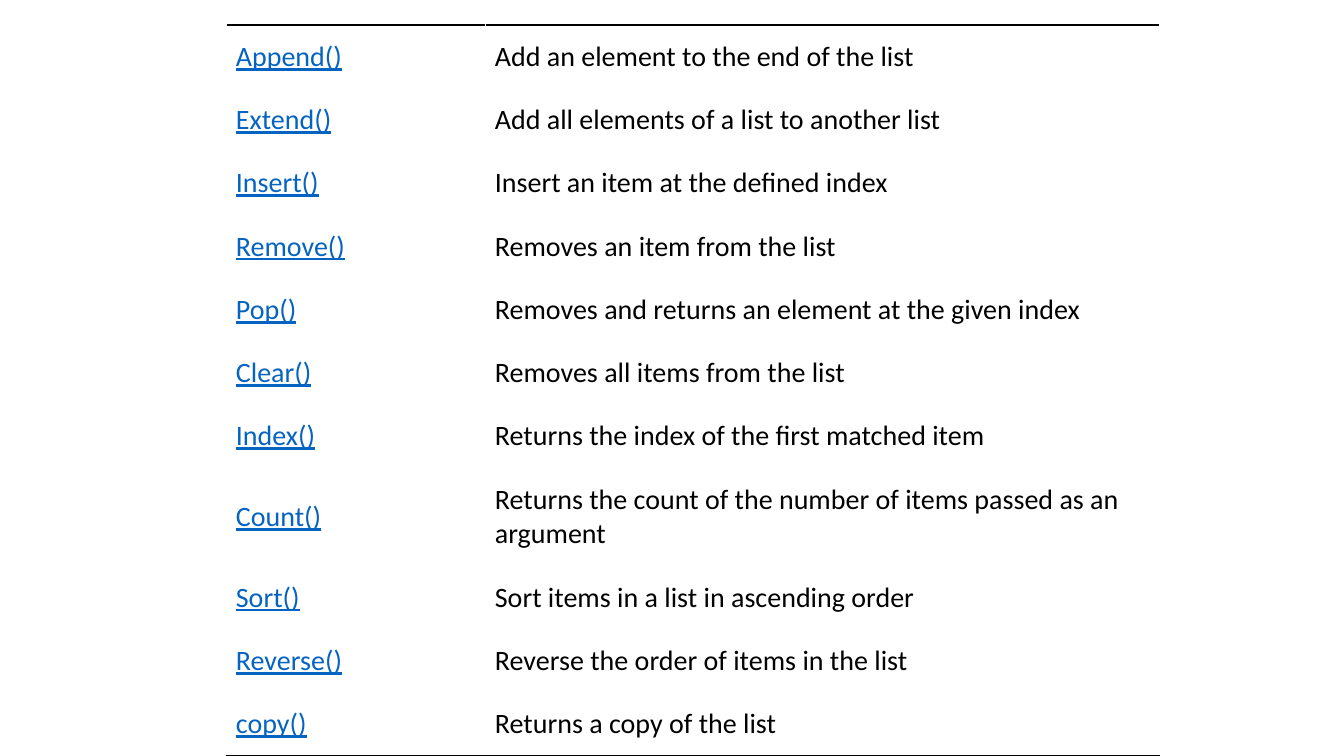
"""Build a slide with a table of Python list methods."""
from lxml import etree
from pptx import Presentation
from pptx.dml.color import RGBColor
from pptx.enum.text import MSO_ANCHOR
from pptx.oxml.ns import qn
from pptx.util import Pt

MIDDLE = MSO_ANCHOR.MIDDLE
COLORS = {"link": "0563C1", "text": "000000", "rule": "000000", "fill": "FFFFFF"}
COL_WIDTHS = (185, 481)
ROW_HEIGHT = 45.2
TALL_ROW_HEIGHT = 70
TALL_METHOD = "Count()"
METHODS = [
    ("Append()", "Add an element to the end of the list"),
    ("Extend()", "Add all elements of a list to another list"),
    ("Insert()", "Insert an item at the defined index"),
    ("Remove()", "Removes an item from the list"),
    ("Pop()", "Removes and returns an element at the given index"),
    ("Clear()", "Removes all items from the list"),
    ("Index()", "Returns the index of the first matched item"),
    ("Count()", "Returns the count of the number of items passed as an argument"),
    ("Sort()", "Sort items in a list in ascending order"),
    ("Reverse()", "Reverse the order of items in the list"),
    ("copy()", "Returns a copy of the list"),
]


def add_text(tf, text, size=20, color="text", underline=False, font="Calibri"):
    r = tf.paragraphs[0].add_run()
    r.text = text
    r.font.name = font
    r.font.size = Pt(size)
    r.font.underline = underline
    r.font.color.rgb = RGBColor.from_string(COLORS[color])


def add_border(cell, side, color="rule", width=2):
    ln = etree.Element(qn(f"a:{side}"), w=str(Pt(width)))
    fill = etree.SubElement(ln, qn("a:solidFill"))
    etree.SubElement(fill, qn("a:srgbClr"), val=COLORS[color])
    cell._tc.get_or_add_tcPr().insert(0, ln)


def format_cell(cell):
    cell.fill.solid()
    cell.fill.fore_color.rgb = RGBColor.from_string(COLORS["fill"])
    cell.vertical_anchor = MIDDLE
    cell.margin_left = cell.margin_right = Pt(6.5)
    cell.margin_top = cell.margin_bottom = Pt(9.4)


def add_method_table(s, left, top):
    heights = [TALL_ROW_HEIGHT if name == TALL_METHOD else ROW_HEIGHT
               for name, _ in METHODS]
    table = s.shapes.add_table(len(METHODS), len(COL_WIDTHS), Pt(left), Pt(top),
                               Pt(sum(COL_WIDTHS)), Pt(sum(heights))).table
    table.first_row = table.horz_banding = False
    for column, width in zip(table.columns, COL_WIDTHS):
        column.width = Pt(width)
    for row, height, (name, description) in zip(table.rows, heights, METHODS):
        row.height = Pt(height)
        name_cell, description_cell = row.cells
        add_text(name_cell.text_frame, name, color="link", underline=True)
        add_text(description_cell.text_frame, description)
    for cell in table.iter_cells():
        format_cell(cell)
    for col in range(len(COL_WIDTHS)):
        add_border(table.cell(0, col), "lnT")
        add_border(table.cell(len(METHODS) - 1, col), "lnB")


def main():
    prs = Presentation()
    prs.slide_width, prs.slide_height = Pt(960), Pt(540)
    s = prs.slides.add_slide(prs.slide_layouts[6])
    add_method_table(s, 162, 18)
    prs.save("out.pptx")


if __name__ == "__main__":
    main()
